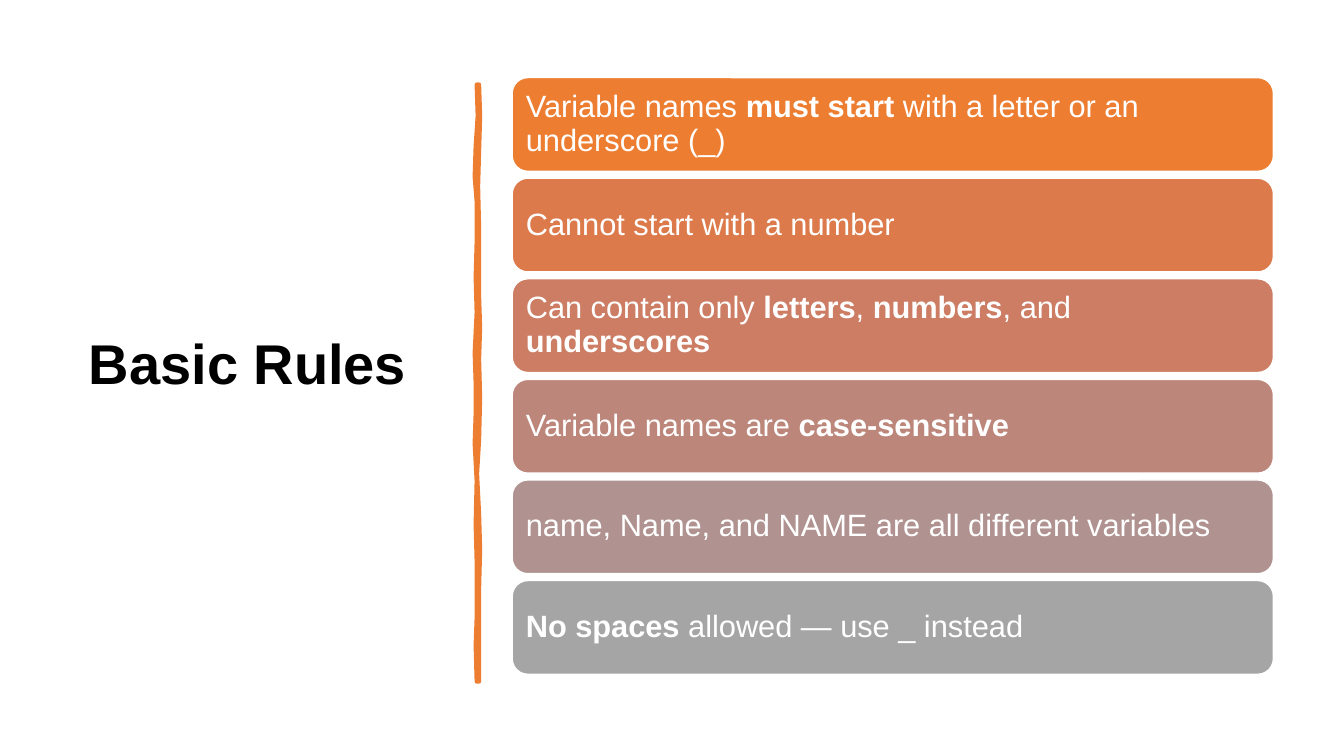
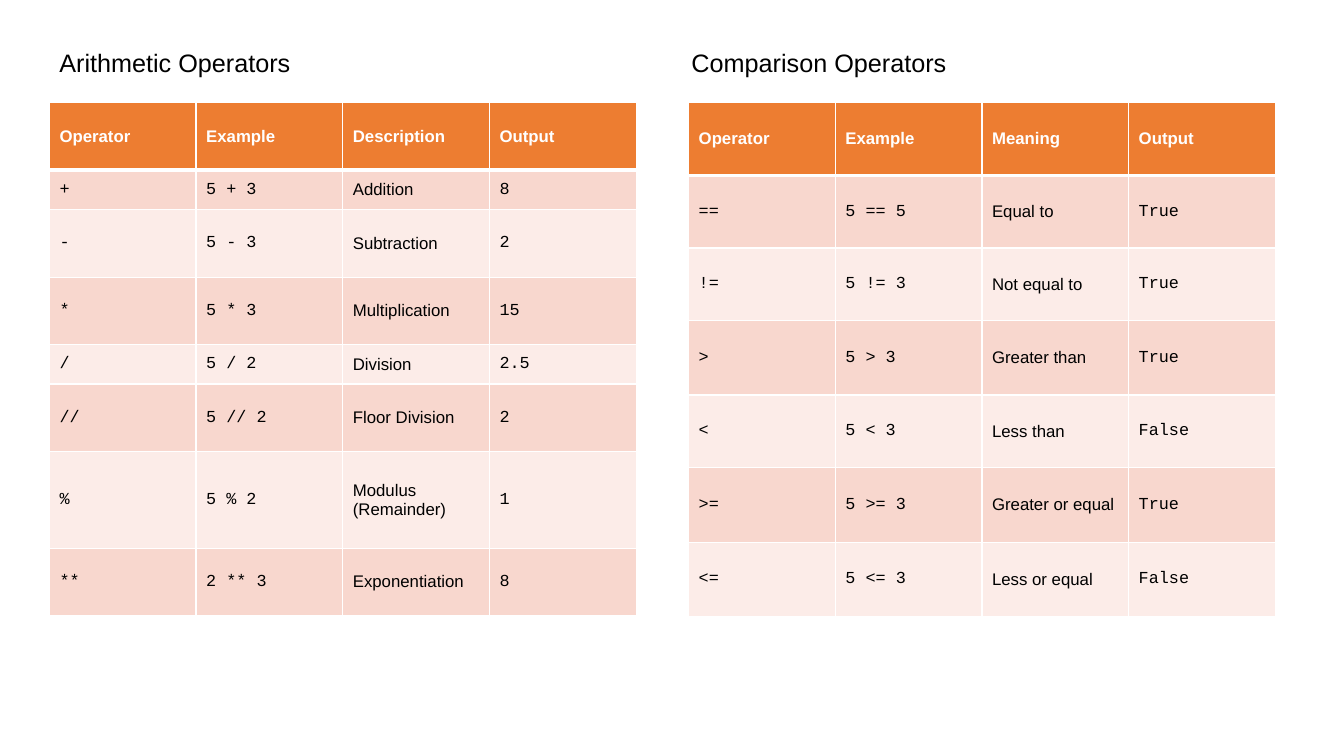
from lxml import etree
from pptx import Presentation
from pptx.dml.color import RGBColor
from pptx.enum.shapes import MSO_SHAPE
from pptx.enum.text import MSO_ANCHOR, PP_ALIGN
from pptx.oxml.ns import qn
from pptx.util import Inches, Pt

ROUNDED = MSO_SHAPE.ROUNDED_RECTANGLE
MIDDLE = MSO_ANCHOR.MIDDLE
CENTER = PP_ALIGN.CENTER
LEFT = PP_ALIGN.LEFT

SANS, MONO = "Arial", "Courier New"
ORANGE, WHITE, BLACK = "ED7D31", "FFFFFF", "000000"
BANDS = ("F8D7CE", "FCECE8")

RULES = [
    ("ED7D31", [("Variable names ", False), ("must start", True),
                (" with a letter or an underscore (_)", False)]),
    ("DC7A4B", [("Cannot start with a number", False)]),
    ("CC7D64", [("Can contain only ", False), ("letters", True), (", ", False),
                ("numbers", True), (", and ", False), ("underscores", True)]),
    ("BD867B", [("Variable names are ", False), ("case-sensitive", True)]),
    ("B09391", [("name, Name, and NAME are all different variables", False)]),
    ("A5A5A5", [("No spaces", True), (" allowed — use _ instead", False)]),
]
RULE_LEFT, RULE_WIDTH, RULE_HEIGHT = 5.08, 7.55, 0.93
FIRST_TOP, LAST_TOP = 0.77, 5.76

DIVIDER = [
    (4.75, 0.84), (4.76, 1.15), (4.75, 1.5), (4.74, 1.85), (4.75, 2.26),
    (4.75, 2.94), (4.76, 3.25), (4.75, 3.56), (4.76, 3.95), (4.75, 4.36),
    (4.73, 4.7), (4.75, 5.1), (4.76, 5.45), (4.75, 5.84), (4.75, 6.76),
    (4.73, 6.76), (4.72, 6.4), (4.73, 6.13), (4.73, 5.57), (4.72, 5.2),
    (4.73, 4.77), (4.71, 4.4), (4.72, 4.1), (4.72, 3.8), (4.71, 3.5),
    (4.73, 3.1), (4.72, 2.75), (4.73, 2.4), (4.73, 2), (4.71, 1.75),
    (4.72, 1.45), (4.74, 1.15), (4.73, 0.84),
]

TABLES = [
    {
        "title": "Arithmetic Operators", "title_left": 0.49, "left": 0.49,
        "heights": [0.67, 0.39, 0.67, 0.67, 0.39, 0.67, 0.96, 0.67],
        "rows": [
            ("Operator", "Example", "Description", "Output"),
            ("+", "5 + 3", "Addition", "8"),
            ("-", "5 - 3", "Subtraction", "2"),
            ("*", "5 * 3", "Multiplication", "15"),
            ("/", "5 / 2", "Division", "2.5"),
            ("//", "5 // 2", "Floor Division", "2"),
            ("%", "5 % 2", "Modulus (Remainder)", "1"),
            ("**", "2 ** 3", "Exponentiation", "8"),
        ],
    },
    {
        "title": "Comparison Operators", "title_left": 6.76, "left": 6.83,
        "heights": [0.72, 0.72, 0.72, 0.74, 0.72, 0.74, 0.74],
        "rows": [
            ("Operator", "Example", "Meaning", "Output"),
            ("==", "5 == 5", "Equal to", "True"),
            ("!=", "5 != 3", "Not equal to", "True"),
            (">", "5 > 3", "Greater than", "True"),
            ("<", "5 < 3", "Less than", "False"),
            (">=", "5 >= 3", "Greater or equal", "True"),
            ("<=", "5 <= 3", "Less or equal", "False"),
        ],
    },
]
TABLE_TOP, TABLE_WIDTH = 1.02, 5.82
WORD_COLUMN = 2


def rgb(value):
    return RGBColor.from_string(value)


def add_run(p, text, size, color, bold=False, font=SANS):
    r = p.add_run()
    r.text = text
    r.font.name = font
    r.font.size = Pt(size)
    r.font.bold = bold
    r.font.color.rgb = rgb(color)


def paint(sp, fill, line, width):
    sp.shadow.inherit = False
    sp.fill.solid()
    sp.fill.fore_color.rgb = rgb(fill)
    sp.line.color.rgb = rgb(line)
    sp.line.width = Pt(width)


def add_title(s, text, box, size, bold=False, align=LEFT, wrap=False):
    tf = s.shapes.add_textbox(*map(Inches, box)).text_frame
    tf.word_wrap = wrap
    p = tf.paragraphs[0]
    p.alignment = align
    add_run(p, text, size, BLACK, bold)


def add_divider(s):
    points = [(Inches(x), Inches(y)) for x, y in DIVIDER]
    builder = s.shapes.build_freeform(*points[0])
    builder.add_line_segments(points[1:], close=True)
    paint(builder.convert_to_shape(), ORANGE, ORANGE, 3.25)


def add_rule(s, top, fill, runs):
    sp = s.shapes.add_shape(ROUNDED, Inches(RULE_LEFT), Inches(top),
                            Inches(RULE_WIDTH), Inches(RULE_HEIGHT))
    paint(sp, fill, WHITE, 1)
    tf = sp.text_frame
    tf.word_wrap = True
    tf.vertical_anchor = MIDDLE
    tf.margin_left = tf.margin_right = Inches(0.09)
    tf.margin_top = tf.margin_bottom = Inches(0.09)
    p = tf.paragraphs[0]
    p.alignment = LEFT
    p.line_spacing = 0.9
    for text, bold in runs:
        add_run(p, text, 22, WHITE, bold)


def set_borders(cell, widths):
    tc_pr = cell._tc.get_or_add_tcPr()
    for side, width in zip("LRTB", widths):
        ln = etree.SubElement(tc_pr, qn(f"a:ln{side}"), w=str(Pt(width)))
        fill = etree.SubElement(ln, qn("a:solidFill"))
        etree.SubElement(fill, qn("a:srgbClr"), val=WHITE)


def fill_cell(cell, text, row, col):
    header = row == 0
    set_borders(cell, (1, 1, 3 if row == 1 else 1, 3 if header else 1))
    cell.fill.solid()
    cell.fill.fore_color.rgb = rgb(ORANGE if header else BANDS[(row - 1) % 2])
    cell.vertical_anchor = MIDDLE
    font = SANS if header or col == WORD_COLUMN else MONO
    add_run(cell.text_frame.paragraphs[0], text, 12,
            WHITE if header else BLACK, header, font)


def add_operator_table(s, spec_table):
    rows, heights = spec_table["rows"], spec_table["heights"]
    columns = len(rows[0])
    table = s.shapes.add_table(
        len(rows), columns, Inches(spec_table["left"]), Inches(TABLE_TOP),
        Inches(TABLE_WIDTH), Inches(sum(heights))).table
    for column in table.columns:
        column.width = Inches(TABLE_WIDTH / columns)
    for i, (height, texts) in enumerate(zip(heights, rows)):
        table.rows[i].height = Inches(height)
        for j, text in enumerate(texts):
            fill_cell(table.cell(i, j), text, i, j)


def build_rules(s):
    add_divider(s)
    pitch = (LAST_TOP - FIRST_TOP) / (len(RULES) - 1)
    for i, (fill, runs) in enumerate(RULES):
        add_rule(s, FIRST_TOP + i * pitch, fill, runs)
    add_title(s, "Basic Rules", (0.09, 3.21, 4.73, 0.8), 40, True, CENTER, True)


def build_operators(s):
    for entry in TABLES:
        add_operator_table(s, entry)
        add_title(s, entry["title"], (entry["title_left"], 0.42, 2.75, 0.4), 18)


def main():
    prs = Presentation()
    prs.slide_width, prs.slide_height = Inches(13.33), Inches(7.5)
    for build in (build_rules, build_operators):
        build(prs.slides.add_slide(prs.slide_layouts[6]))
    prs.save("out.pptx")


if __name__ == "__main__":
    main()
